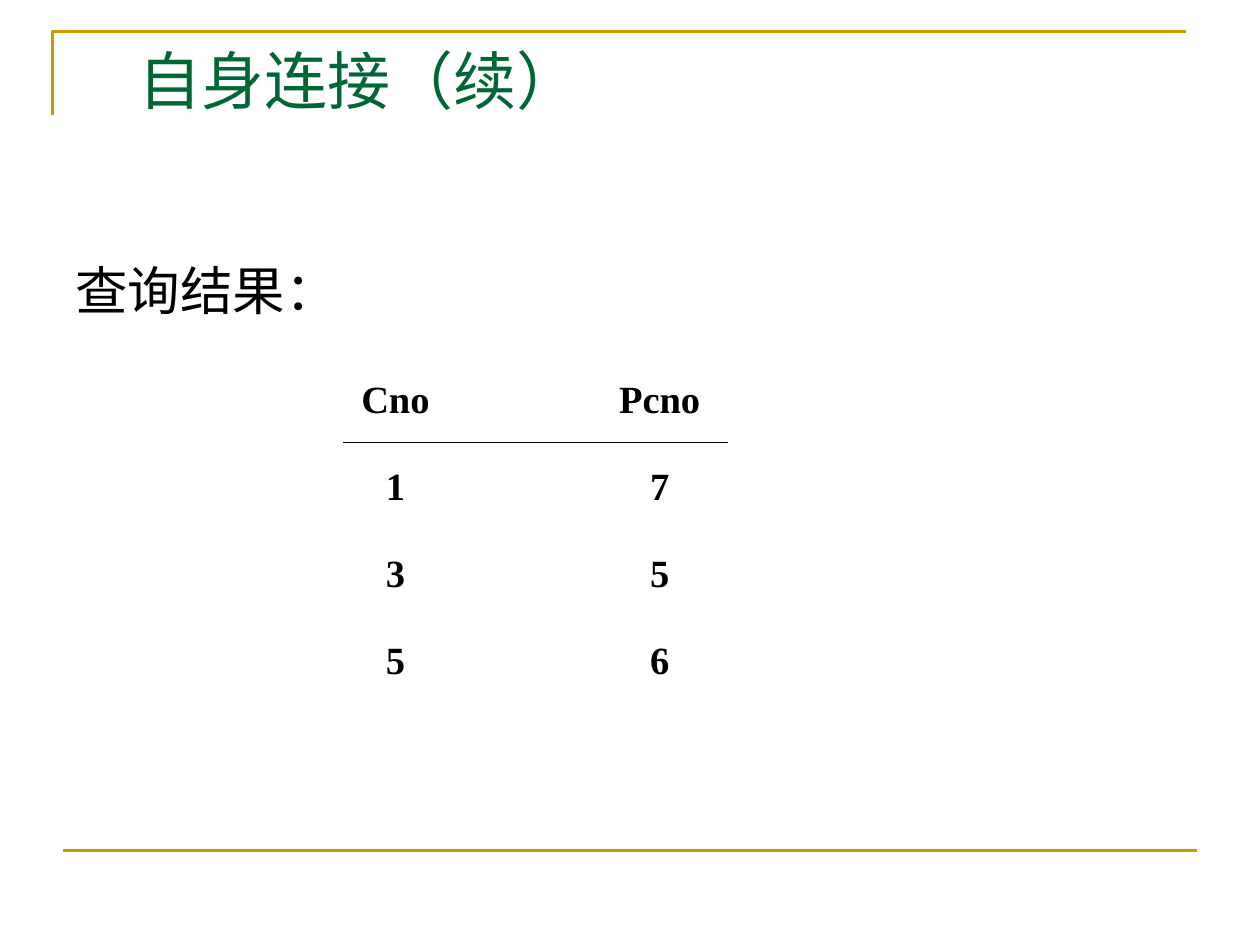
from dataclasses import dataclass

from pptx import Presentation
from pptx.dml.color import RGBColor
from pptx.enum.shapes import MSO_CONNECTOR
from pptx.enum.text import MSO_ANCHOR, PP_ALIGN
from pptx.oxml.ns import qn
from pptx.util import Pt
from lxml import etree

LEFT, MID = PP_ALIGN.LEFT, PP_ALIGN.CENTER
TOP = MSO_ANCHOR.TOP
LINE = MSO_CONNECTOR.STRAIGHT


@dataclass(frozen=True)
class Theme:
    gold: RGBColor = RGBColor(0xCC, 0x99, 0x00)
    green: RGBColor = RGBColor(0x00, 0x66, 0x33)
    black: RGBColor = RGBColor(0, 0, 0)
    serif: str = "Times New Roman"
    sans: str = "Arial"
    title: float = 36
    body: float = 30
    cell: float = 22
    thick: float = 1.5
    thin: float = 0.75


THEME = Theme()
ROWS = [("Cno", "Pcno"), ("1", "7"), ("3", "5"), ("5", "6")]


def write(frame, text, size, font, color=THEME.black, bold=False, align=LEFT):
    frame.word_wrap = True
    frame.vertical_anchor = TOP
    para = frame.paragraphs[0]
    para.alignment = align
    run = para.add_run()
    run.text = text
    run.font.size = Pt(size)
    run.font.name = font
    run.font.bold = bold
    run.font.color.rgb = color


def add_text(slide, box, text, **form):
    shape = slide.shapes.add_textbox(*map(Pt, box))
    write(shape.text_frame, text, **form)


def add_rule(slide, left, right, y, color, width):
    rule = slide.shapes.add_connector(LINE, Pt(left), Pt(y), Pt(right), Pt(y))
    rule.line.color.rgb = color
    rule.line.width = Pt(width)
    etree.SubElement(rule._element.spPr, qn("a:effectLst"))


def add_frame(slide, box):
    left, top, width, height = map(Pt, box)
    path = slide.shapes.build_freeform(left, top + height)
    path.add_line_segments([(left, top), (left + width, top)], close=False)
    shape = path.convert_to_shape()
    shape.shadow.inherit = False
    shape.fill.background()
    shape.line.color.rgb = THEME.gold
    shape.line.width = Pt(THEME.thick)


def add_grid(slide, box, rows):
    left, top, width, height = box
    table = slide.shapes.add_table(
        len(rows), len(rows[0]), *map(Pt, box)).table
    table.first_row = table.horz_banding = False
    for r, row in enumerate(rows):
        for c, text in enumerate(row):
            cell = table.cell(r, c)
            cell.fill.background()
            write(cell.text_frame, text, size=THEME.cell, font=THEME.serif,
                  bold=True, align=MID)
            cell.vertical_anchor = TOP
    add_rule(slide, left + 0.15 * width, left + 0.88 * width,
             top + 0.2 * height, THEME.black, THEME.thin)


def main():
    deck = Presentation()
    deck.slide_width, deck.slide_height = Pt(720), Pt(540)
    slide = deck.slides.add_slide(deck.slide_layouts[6])
    add_frame(slide, (30, 18, 648, 48))
    add_rule(slide, 36, 684, 486, THEME.gold, THEME.thick)
    add_text(slide, (72, 20, 582, 44), "自身连接（续）",
             size=THEME.title, font=THEME.serif, color=THEME.green)
    add_text(slide, (36, 144, 318, 47), "查询结果：",
             size=THEME.body, font=THEME.sans)
    add_grid(slide, (150.5, 213, 302, 199), ROWS)
    deck.save("out.pptx")


if __name__ == "__main__":
    main()
